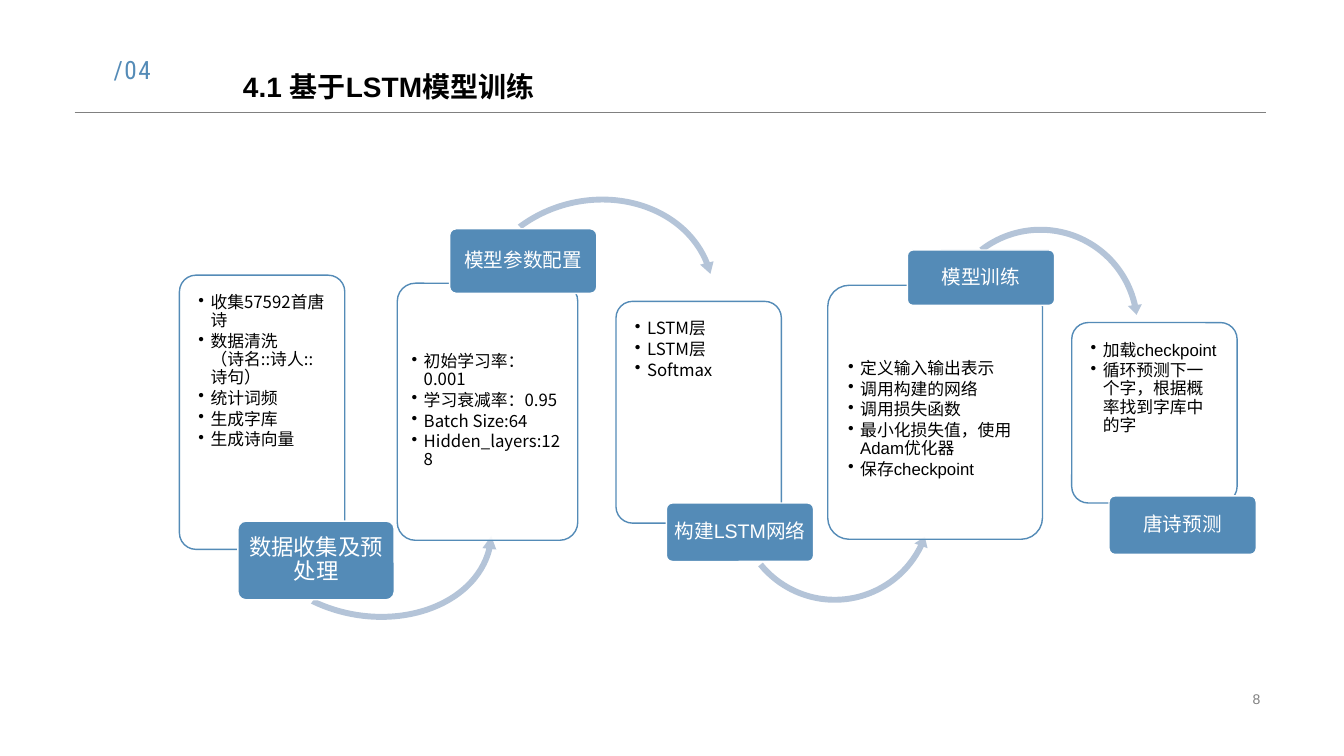
import pptx
import pptx.util
import pptx.dml.color
import pptx.enum.shapes
import pptx.enum.text
import pptx.oxml.ns
import lxml.etree

Inches = pptx.util.Inches
Pt = pptx.util.Pt
qn = pptx.oxml.ns.qn
SHAPE = pptx.enum.shapes.MSO_SHAPE
ALIGN = pptx.enum.text.PP_ALIGN
ANCHOR = pptx.enum.text.MSO_ANCHOR

THEME = {
    "blue": "548BB7", "arrow": "B4C4D8", "white": "FFFFFF", "black": "000000", "gray": "808080",
    "title": 20, "section": 18, "label": 14, "body": 12, "number": 10,
    "latin": "Arial", "cjk": "Noto Sans CJK SC", "condensed": "Roboto Condensed",
}


def write(shape, lines, size, color, font, align, anchor, insets, spacing=0.9, after=0):
    frame = shape.text_frame
    frame.text = "\n".join(lines)
    frame.word_wrap = True
    frame.auto_size = pptx.enum.text.MSO_AUTO_SIZE.NONE
    frame.vertical_anchor = anchor
    frame.margin_left, frame.margin_top, frame.margin_right, frame.margin_bottom = map(Inches, insets)
    for paragraph in frame.paragraphs:
        paragraph.alignment = align
        paragraph.line_spacing = spacing
        paragraph.space_before = Pt(0)
        paragraph.space_after = Pt(after)
        for run in paragraph.runs:
            run.font.size = Pt(THEME[size])
            run.font.name = THEME[font]
            run.font.color.rgb = pptx.dml.color.RGBColor.from_string(THEME[color])
            east_asian = lxml.etree.SubElement(run.font._element, qn("a:ea"))
            east_asian.set("typeface", THEME["cjk"])


def draw(kind, box, fill, line, adjustments):
    shape = slide.shapes.add_shape(kind, *map(Inches, box))
    shape.shadow.inherit = False
    shape.fill.solid()
    shape.fill.fore_color.rgb = pptx.dml.color.RGBColor.from_string(THEME[fill])
    if line:
        shape.line.color.rgb = pptx.dml.color.RGBColor.from_string(THEME[line])
        shape.line.width = Pt(1)
    else:
        shape.line.fill.background()
    for index, value in enumerate(adjustments):
        shape.adjustments[index] = value
    return shape


deck = pptx.Presentation()
deck.slide_width, deck.slide_height = Inches(13.33), Inches(7.5)
slide = deck.slides.add_slide(deck.slide_layouts[5])

rule = slide.shapes.add_connector(
    pptx.enum.shapes.MSO_CONNECTOR.STRAIGHT, Inches(0.74), Inches(1.11), Inches(12.56), Inches(1.11))
rule.line.color.rgb = pptx.dml.color.RGBColor.from_string(THEME["gray"])
rule.line.width = Pt(0.25)
lxml.etree.SubElement(rule._element.spPr, qn("a:effectLst"))

heading = slide.shapes.title
heading.left, heading.top, heading.width, heading.height = map(Inches, (2.31, 0.54, 9.03, 0.54))
write(heading, ["4.1 基于LSTM模型训练"], "title", "black", "latin", ALIGN.LEFT, ANCHOR.BOTTOM,
      (0.1, 0.05, 0.1, 0.05))
heading.text_frame.paragraphs[0].runs[0].font.bold = True

section = slide.shapes.add_textbox(*map(Inches, (1.03, 0.49, 0.67, 0.59)))
write(section, ["/04"], "section", "blue", "condensed", ALIGN.LEFT, ANCHOR.TOP,
      (0.1, 0.05, 0.1, 0.05), 1)
section.text_frame.word_wrap = False
section.text_frame.paragraphs[0].runs[0].font._element.set("spc", "100")

page_number = slide.shapes.add_textbox(*map(Inches, (9.42, 6.82, 3.18, 0.23)))
write(page_number, ["8"], "number", "gray", "latin", ALIGN.RIGHT, ANCHOR.MIDDLE,
      (0.1, 0.05, 0.1, 0.05), 1)

steps = [
    {"name": "数据收集及预处理", "label": (2.36, 5.17, 1.55, 0.78), "label_size": "title",
     "card": (1.78, 2.73, 1.64, 2.72), "font": "cjk", "inset": 0.14, "drop": 0,
     "lines": ["收集57592首唐诗", "数据清洗\v（诗名::诗人::诗句）", "统计词频", "生成字库", "生成诗向量"],
     "arrow": (SHAPE.LEFT_CIRCULAR_ARROW, (2.4, 4.21, 2.55, 1.97), 9.5,
               (0.03, 3.677, 1.492, 70.305, 0.035))},
    {"name": "模型参数配置", "label": (4.46, 2.27, 1.46, 0.64),
     "card": (3.94, 2.81, 1.79, 2.55), "font": "cjk", "inset": 0.09, "drop": 0.55,
     "lines": ["初始学习率：0.001", "学习衰减率：0.95", "Batch Size:64", "Hidden_layers:128"],
     "arrow": (SHAPE.CIRCULAR_ARROW, (4.64, 1.92, 2.51, 2.16), 347.5,
               (0.027, 3.311, 211.919, 142.741, 0.032))},
    {"name": "构建LSTM网络", "label": (6.61, 4.99, 1.46, 0.58),
     "card": (6.11, 2.99, 1.64, 2.2), "font": "cjk", "inset": 0.14, "drop": 0,
     "lines": ["LSTM层", "LSTM层", "Softmax"],
     "arrow": (SHAPE.LEFT_CIRCULAR_ARROW, (7.26, 3.98, 2.04, 2.04), 8.2,
               (0.029, 3.551, 10.622, 79.561, 0.034))},
    {"name": "模型训练", "label": (9, 2.48, 1.46, 0.55),
     "card": (8.21, 2.83, 2.13, 2.52), "font": "latin", "inset": 0.14, "drop": 0.54,
     "lines": ["定义输入输出表示", "调用构建的网络", "调用损失函数", "最小化损失值，使用Adam优化器",
               "保存checkpoint"],
     "arrow": (SHAPE.CIRCULAR_ARROW, (9.29, 2.21, 2.06, 2.06), 0,
               (0.029, 3.514, 208.328, 139.352, 0.034))},
    {"name": "唐诗预测", "label": (11, 4.92, 1.46, 0.58),
     "card": (10.63, 3.2, 1.64, 1.79), "font": "latin", "inset": 0.14, "drop": 0,
     "lines": ["加载checkpoint", "循环预测下一个字，根据概率找到字库中的字"]},
]
THEME["first_label"] = 16
steps[0]["label_size"] = "first_label"

for step in steps:
    card = draw(SHAPE.ROUNDED_RECTANGLE, step["card"], "white", "blue", [0.1])
    fill_color = card._element.spPr.find(qn("a:solidFill")).find(qn("a:srgbClr"))
    lxml.etree.SubElement(fill_color, qn("a:alpha")).set("val", "90000")
    inset = step["inset"]
    write(card, step["lines"], "body", "black", step["font"], ALIGN.LEFT, ANCHOR.TOP,
          (inset, inset + step["drop"], inset, inset), after=1.8)
    for paragraph in card.text_frame.paragraphs:
        properties = paragraph._p.get_or_add_pPr()
        properties.set("marL", str(Inches(0.12)))
        properties.set("indent", str(-Inches(0.12)))
        lxml.etree.SubElement(properties, qn("a:buChar")).set("char", "•")

    if "arrow" in step:
        kind, box, rotation, adjustments = step["arrow"]
        draw(kind, box, "arrow", None, adjustments).rotation = rotation

    label = draw(SHAPE.ROUNDED_RECTANGLE, step["label"], "blue", "white", [0.1])
    write(label, [step["name"]], step.get("label_size", "label"), "white", "latin",
          ALIGN.CENTER, ANCHOR.MIDDLE, (0.03, 0.02, 0.03, 0.02))

deck.save("out.pptx")
